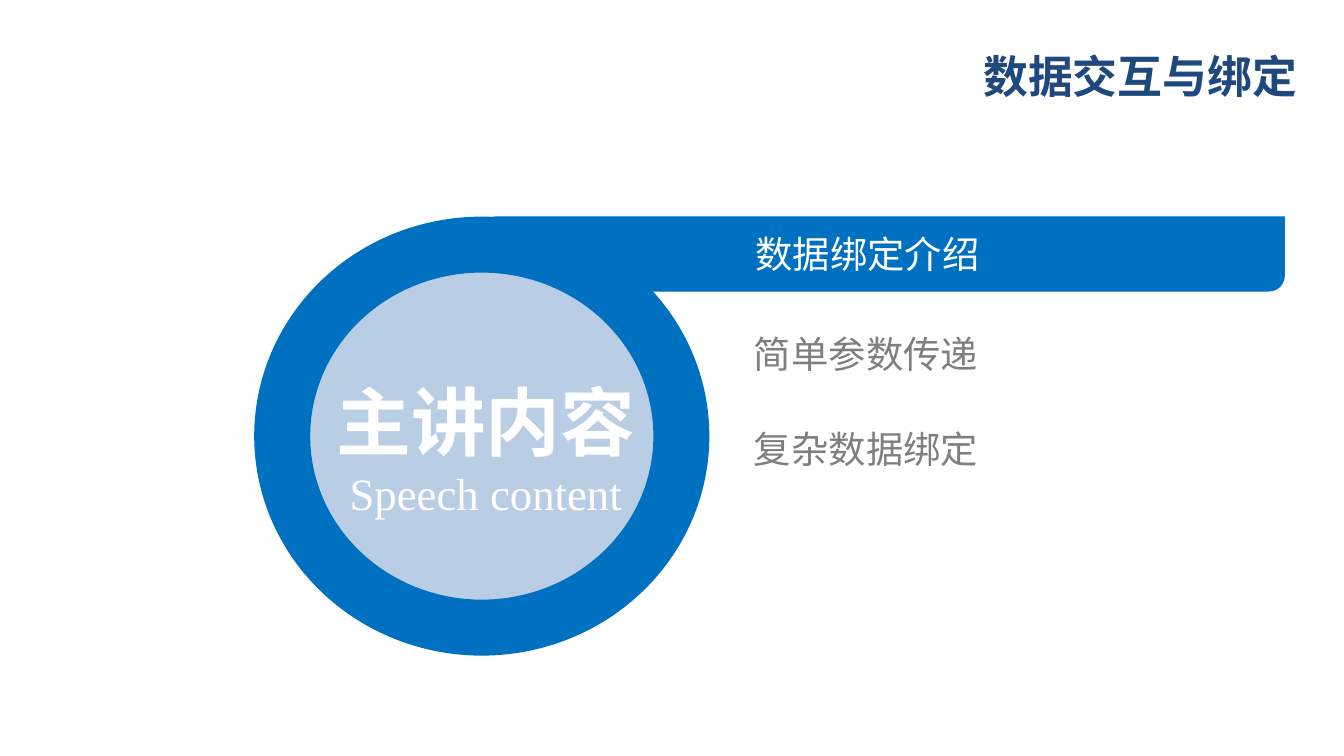
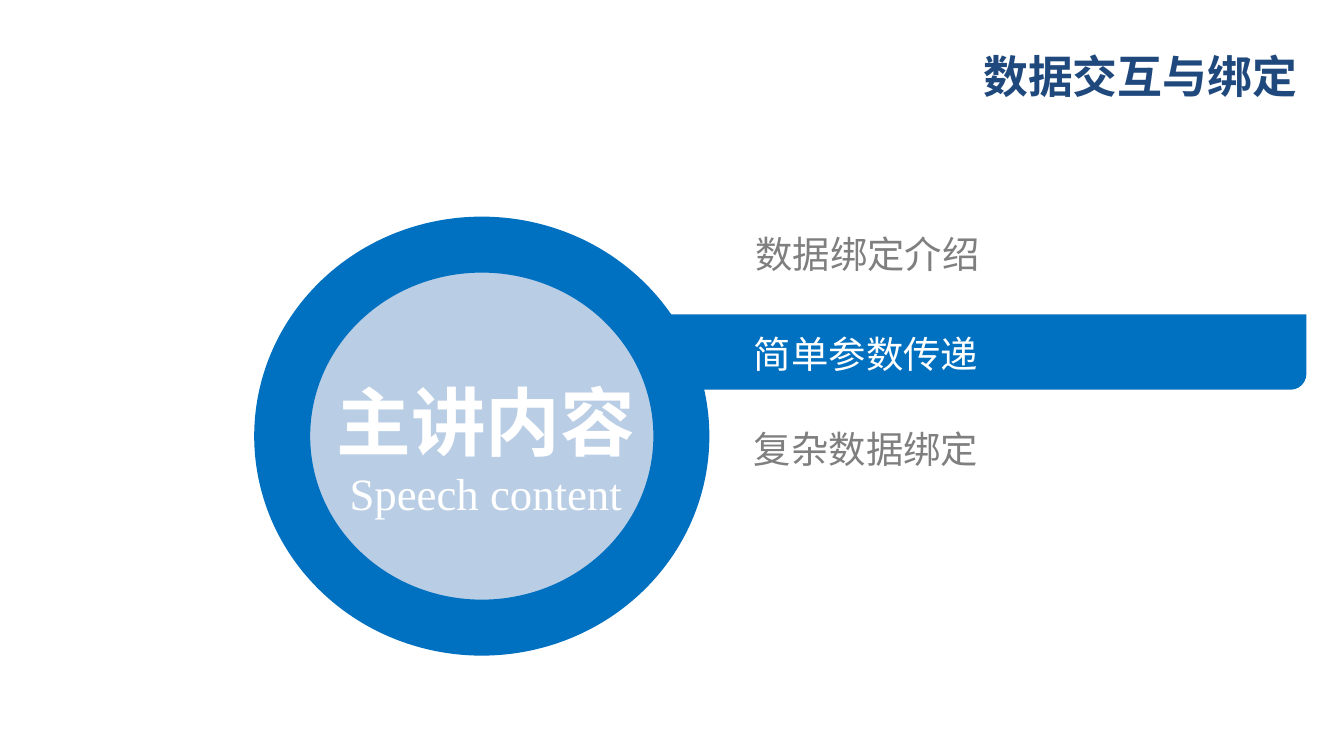
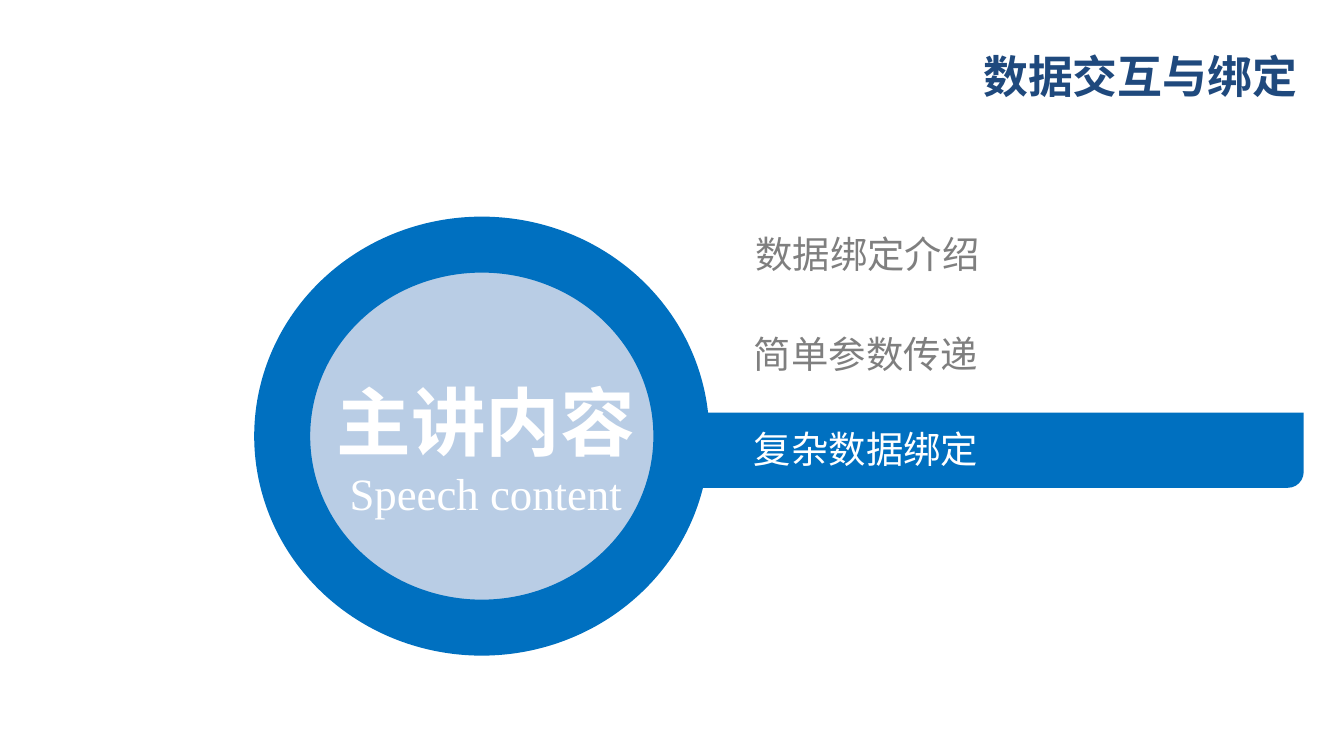
import pptx
import pptx.dml.color
import pptx.enum.shapes
import pptx.enum.text
import pptx.oxml.ns
import pptx.util
from lxml import etree

Inches = pptx.util.Inches
RGBColor = pptx.dml.color.RGBColor
Shape = pptx.enum.shapes.MSO_SHAPE
Align = pptx.enum.text.PP_ALIGN

# Shared style
NAVY = RGBColor(0x1F, 0x49, 0x7D)
BLUE = RGBColor(0x00, 0x70, 0xC0)
PALE_BLUE = RGBColor(0xB9, 0xCD, 0xE5)
GREY = RGBColor(0x7F, 0x7F, 0x7F)
WHITE = RGBColor(0xFF, 0xFF, 0xFF)
CHINESE_FONT = "Noto Sans CJK SC"
LATIN_FONT = "Times New Roman"

# Agenda entries: text, left, top, width
TOPICS = [
    ("数据绑定介绍", 5.62, 1.72, 3.63),
    ("简单参数传递", 5.61, 2.46, 3.63),
    ("复杂数据绑定", 5.61, 3.17, 3.82),
]
# Highlight bar on each slide: left, top
BARS = [(3.58, 1.61), (3.74, 2.34), (3.72, 3.07)]


def add_text_box(shapes, left, top, width, height, inset_x, inset_y, grow=True):
    box = shapes.add_textbox(Inches(left), Inches(top), Inches(width), Inches(height))
    frame = box.text_frame
    frame.word_wrap = True
    frame.vertical_anchor = pptx.enum.text.MSO_ANCHOR.MIDDLE
    if grow:
        frame.auto_size = pptx.enum.text.MSO_AUTO_SIZE.SHAPE_TO_FIT_TEXT
    frame.margin_left = frame.margin_right = Inches(inset_x)
    frame.margin_top = frame.margin_bottom = Inches(inset_y)
    return frame


def add_run(paragraph, text, size, color, bold=False, font=CHINESE_FONT, align=Align.LEFT):
    paragraph.alignment = align
    run = paragraph.add_run()
    run.text = text
    run.font.size = pptx.util.Pt(size)
    run.font.bold = bold
    run.font.color.rgb = color
    run.font.name = font
    east_asian = etree.SubElement(run.font._element, pptx.oxml.ns.qn("a:ea"))
    east_asian.set("typeface", font)


presentation = pptx.Presentation()
presentation.slide_width = Inches(10)
presentation.slide_height = Inches(10) * 9 // 16

for current, (bar_left, bar_top) in enumerate(BARS):
    slide = presentation.slides.add_slide(presentation.slide_layouts[6])

    # Title
    title = add_text_box(slide.shapes, 4.76, 0.25, 4.98, 0.63, 0.09, 0.04, grow=False)
    add_run(title.paragraphs[0], "数据交互与绑定", 24, NAVY, bold=True, align=Align.RIGHT)

    # Bar behind the current topic
    bar = slide.shapes.add_shape(
        Shape.ROUND_2_DIAG_RECTANGLE,
        Inches(bar_left), Inches(bar_top), Inches(5.98), Inches(0.56))
    bar.adjustments[0] = 0.21
    bar.adjustments[1] = 0
    bar.shadow.inherit = False
    bar.fill.solid()
    bar.fill.fore_color.rgb = BLUE
    bar.line.fill.background()

    # Ring with its label
    group = slide.shapes.add_group_shape()
    ring = group.shapes.add_shape(
        Shape.OVAL, Inches(2.1), Inches(1.82), Inches(2.97), Inches(2.85))
    ring.shadow.inherit = False
    ring.fill.solid()
    ring.fill.fore_color.rgb = PALE_BLUE
    ring.line.color.rgb = BLUE
    ring.line.width = pptx.util.Pt(30)

    label = add_text_box(group.shapes, 2.08, 2.44, 3.07, 1.45, 0.1, 0.05)
    heading = label.paragraphs[0]
    heading.line_spacing = 1.5
    add_run(heading, "主讲内容", 40, WHITE, bold=True, align=Align.CENTER)
    add_run(label.add_paragraph(), "Speech content", 24, WHITE,
            font=LATIN_FONT, align=Align.CENTER)

    # Topics, the current one in white
    for index, (text, left, top, width) in enumerate(TOPICS):
        topic = add_text_box(slide.shapes, left, top, width, 0.34, 0, 0)
        add_run(topic.paragraphs[0], text, 20, WHITE if index == current else GREY)

presentation.save("out.pptx")
